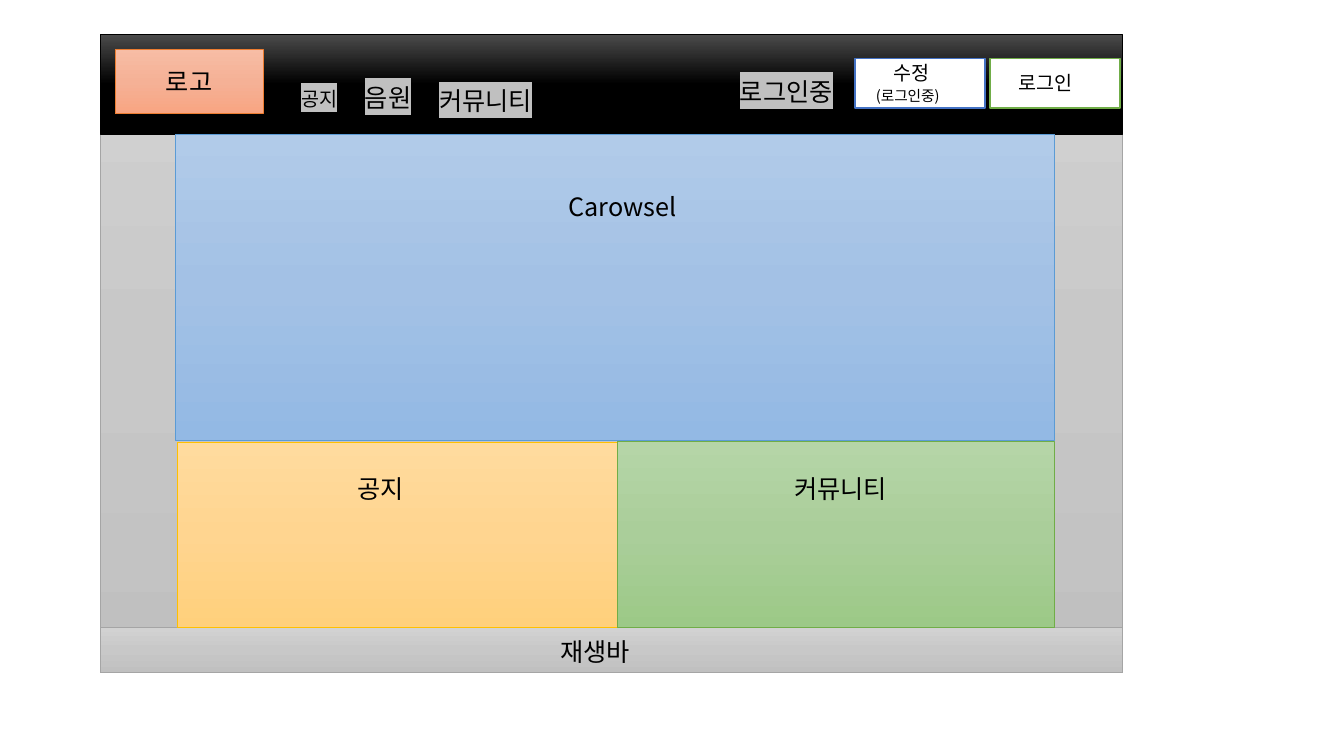
from copy import deepcopy
from dataclasses import dataclass

from lxml import etree
from pptx import Presentation
from pptx.dml.color import RGBColor
from pptx.enum import shapes, text
from pptx.oxml import ns
from pptx.util import Inches, Pt


@dataclass(frozen=True)
class Theme:
    font: str = "Noto Sans CJK KR"
    ink: str = "000000"
    white: str = "FFFFFF"
    highlight: str = "C0C0C0"
    gray: tuple = ("D2D2D2", "C8C8C8", "C0C0C0")
    black: tuple = ("4B4B4B", "000000", "000000")
    blue: tuple = ("B1CBE9", "A3C1E5", "93B9E4")
    gold: tuple = ("FFDB9E", "FFD590", "FFD07C")
    green: tuple = ("B5D5A7", "AACE9A", "9CC987")
    orange: tuple = ("F7BDA5", "F5B196", "F8A582")
    gray_line: str = "A5A5A5"
    blue_line: str = "5B9BD5"
    gold_line: str = "FFC000"
    green_line: str = "70AD47"
    orange_line: str = "ED7D31"
    edit_line: str = "4472C4"
    large: float = 18
    medium: float = 14
    small: float = 10.5


class Wireframe:
    def __init__(self, page, theme):
        self.page = page
        self.theme = theme

    def add_span(self, box, words, size, highlighted=False):
        span = box.text_frame.paragraphs[0].add_run()
        span.text = words
        span.font.size = Pt(size)
        span.font.name = self.theme.font
        span.font.color.rgb = RGBColor.from_string(self.theme.ink)
        properties = span._r.get_or_add_rPr()
        latin = properties.find(ns.qn("a:latin"))
        east_asian = etree.Element(ns.qn("a:ea"), typeface=self.theme.font)
        latin.addnext(east_asian)
        if highlighted:
            highlight = etree.Element(ns.qn("a:highlight"))
            etree.SubElement(highlight, ns.qn("a:srgbClr"), val=self.theme.highlight)
            latin.addprevious(highlight)

    def panel(self, left, top, width, height, line, colors=None):
        box = self.page.shapes.add_shape(
            shapes.MSO_SHAPE.RECTANGLE,
            Inches(left), Inches(top), Inches(width), Inches(height),
        )
        box.shadow.inherit = False
        box.line.color.rgb = RGBColor.from_string(line)
        if colors:
            box.line.width = Pt(0.5)
            self.shade(box, colors)
        else:
            box.line.width = Pt(1)
            box.fill.solid()
            box.fill.fore_color.rgb = RGBColor.from_string(self.theme.white)
        return box

    def shade(self, box, colors):
        box.fill.gradient()
        box.fill.gradient_angle = 270
        stops = box._element.spPr.find(ns.qn("a:gradFill")).find(ns.qn("a:gsLst"))
        stops.append(deepcopy(stops[0]))
        for index, (stop, color) in enumerate(zip(box.fill.gradient_stops, colors)):
            stop.position = index / 2
            stop.color.rgb = RGBColor.from_string(color)

    def button(self, words, *place):
        box = self.panel(*place)
        box.text_frame.vertical_anchor = text.MSO_ANCHOR.MIDDLE
        box.text_frame.paragraphs[0].alignment = text.PP_ALIGN.CENTER
        self.add_span(box, words, self.theme.large)

    def label(self, words, left, top, width, height, size, highlighted=False):
        box = self.page.shapes.add_textbox(
            Inches(left), Inches(top), Inches(width), Inches(height)
        )
        box.text_frame.word_wrap = True
        box.text_frame.auto_size = text.MSO_AUTO_SIZE.SHAPE_TO_FIT_TEXT
        self.add_span(box, words, size, highlighted)


def main():
    deck = Presentation()
    deck.slide_width, deck.slide_height = Inches(13.33), Inches(7.5)
    page = deck.slides.add_slide(deck.slide_layouts[6])
    theme = Theme()
    frame = Wireframe(page, theme)

    left, top, width = 1, 0.34, 10.13
    frame.panel(left, top, width, 6.33, theme.gray_line, theme.gray)
    frame.panel(left, top, width, 0.99, theme.ink, theme.black)
    frame.panel(left, 6.22, width, 0.45, theme.gray_line, theme.gray)
    frame.panel(9.82, 0.58, 1.29, 0.49, theme.green_line)
    frame.panel(1.74, 1.33, 8.72, 3.04, theme.blue_line, theme.blue)
    frame.panel(1.76, 4.39, 4.38, 1.83, theme.gold_line, theme.gold)
    frame.panel(6.12, 4.38, 4.34, 1.84, theme.green_line, theme.green)

    for words, x, y in (
        ("재생바", 5.46, 6.26),
        ("Carowsel", 5.54, 1.85),
        ("공지", 3.45, 4.65),
        ("커뮤니티", 7.78, 4.65),
    ):
        frame.label(words, x, y, 2.04, 0.4, theme.large)

    frame.button("로고", 1.14, 0.49, 1.47, 0.64, theme.orange_line, theme.orange)
    for words, x, y, extent, height, size in (
        ("공지", 2.89, 0.81, 1.04, 0.34, theme.medium),
        ("음원", 3.52, 0.77, 1.12, 0.4, theme.large),
        ("커뮤니티", 4.26, 0.8, 1.56, 0.4, theme.large),
        ("로그인중", 7.24, 0.71, 1.24, 0.4, theme.large),
    ):
        frame.label(words, x, y, extent, height, size, True)

    frame.label("로그인", 10, 0.65, 1.75, 0.34, theme.medium)
    frame.panel(8.48, 0.58, 1.29, 0.49, theme.edit_line)
    frame.label("수정", 8.76, 0.56, 0.92, 0.34, theme.medium)
    frame.label("(로그인중)", 8.59, 0.81, 2.46, 0.28, theme.small)

    deck.save("out.pptx")


if __name__ == "__main__":
    main()
